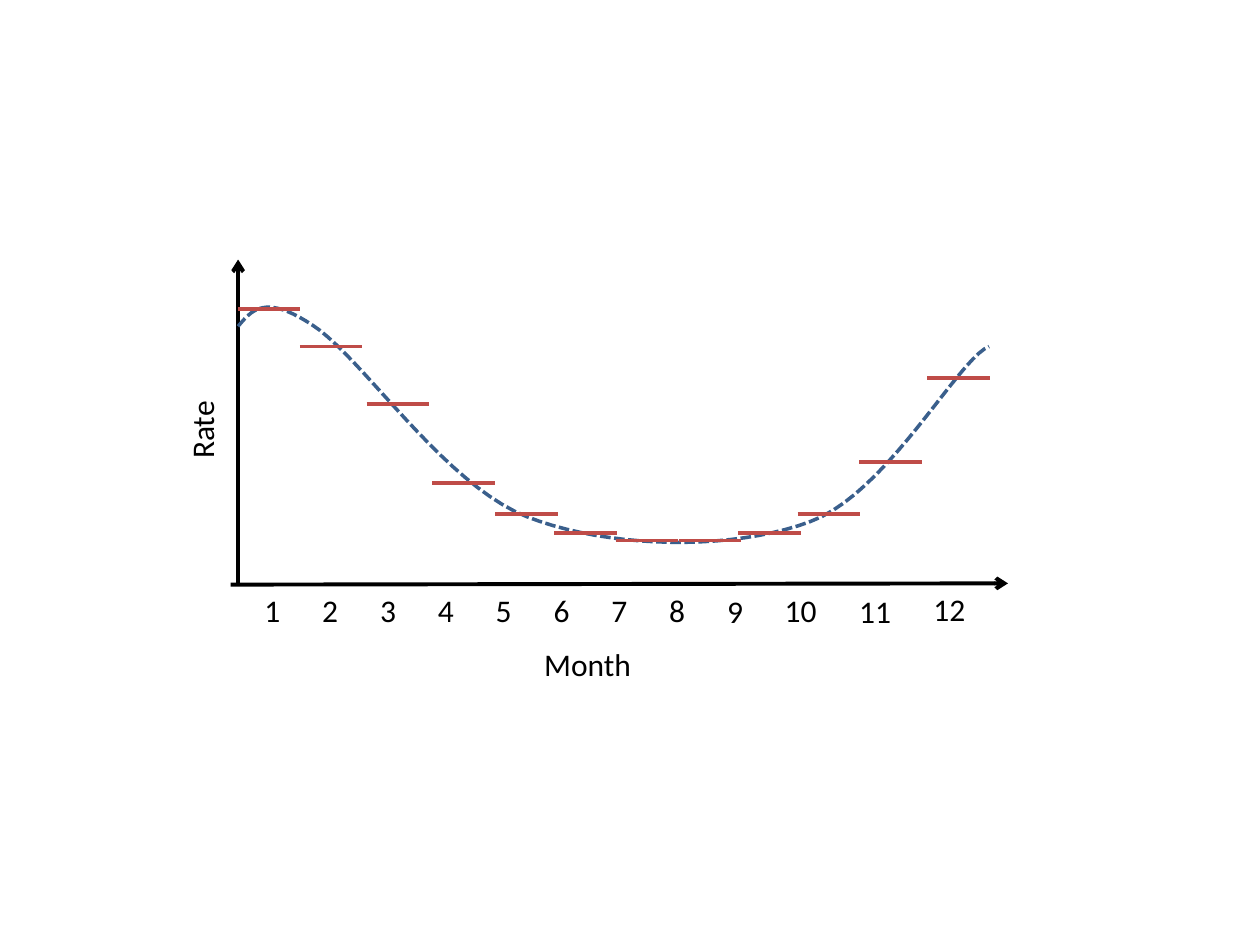
from dataclasses import dataclass

from lxml import etree
from pptx import Presentation
from pptx import util as u
from pptx.dml.color import RGBColor
from pptx.enum import dml, shapes, text
from pptx.oxml.ns import qn

WIDTH, HEIGHT = u.Inches(10), u.Inches(7.5)
COLUMNS, ROWS = 100, 75


@dataclass(frozen=True)
class Theme:
    """Colours, font and sizes of the slide."""
    ink: str = "000000"
    curve: str = "3A5F8C"
    step: str = "BF4C48"
    font: str = "Calibri"
    text_size: float = 18
    line_width: float = 2.25
    curve_width: float = 2


THEME = Theme()
AXIS_LEFT, AXIS_BOTTOM = 18.9, 46.4
STEP_WIDTH = 4.95
# Left end and height of the mean rate in each month
MONTHLY_RATES = [
    (18.9, 24.5), (23.8, 27.5), (29.1, 32.1), (34.3, 38.3),
    (39.3, 40.8), (44, 42.3), (48.9, 42.9), (53.9, 42.9),
    (58.6, 42.3), (63.3, 40.8), (68.2, 36.7), (73.6, 30),
]
# Start point, then two control points and an end point per segment
CURVE_START = (18.9, 25.9)
CURVE_SEGMENTS = [
    ((20, 24.6), (21, 23.3), (24.8, 25.8)),
    ((28.7, 28.3), (35.2, 38.4), (41.8, 41)),
    ((48.4, 43.6), (58.2, 43.7), (64.3, 41.4)),
    ((70.4, 39.2), (76.1, 28.4), (78.5, 27.5)),
]
LABEL_NUDGES = {9: 0.1, 11: 0.1, 12: -0.1}


def col(count):
    """Return the length of a number of grid columns."""
    return round(WIDTH * count / COLUMNS)


def row(count):
    """Return the length of a number of grid rows."""
    return round(HEIGHT * count / ROWS)


def format_line(line, color, width):
    """Set the colour and width of a line."""
    line.color.rgb = RGBColor.from_string(color)
    line.width = u.Pt(width)


def add_line(page, start, end, color, arrow=False):
    """Draw a straight line between two grid points."""
    line = page.shapes.add_connector(
        shapes.MSO_CONNECTOR.STRAIGHT,
        col(start[0]), row(start[1]), col(end[0]), row(end[1]))
    format_line(line.line, color, THEME.line_width)
    properties = line._element.spPr
    if arrow:
        outline = properties.find(qn("a:ln"))
        etree.SubElement(outline, qn("a:tailEnd"), type="arrow")
    etree.SubElement(properties, qn("a:effectLst"))


def add_text(page, words, left, top, width, wrap=False, rotation=0):
    """Add a text box at a grid position."""
    box = page.shapes.add_textbox(col(left), row(top), col(width), row(4))
    box.rotation = rotation
    frame = box.text_frame
    frame.word_wrap = wrap
    frame.auto_size = text.MSO_AUTO_SIZE.SHAPE_TO_FIT_TEXT
    span = frame.paragraphs[0].add_run()
    span.text = words
    span.font.name = THEME.font
    span.font.size = u.Pt(THEME.text_size)
    span.font.color.rgb = RGBColor.from_string(THEME.ink)


def bezier_points(start, segments, steps=20):
    """Yield points along a chain of cubic segments."""
    for first, second, end in segments:
        for step in range(1, steps + 1):
            t = step / steps
            s = 1 - t
            yield tuple(
                s**3 * a + 3 * s * s * t * b + 3 * s * t * t * c + t**3 * d
                for a, b, c, d in zip(start, first, second, end))
        start = end


def add_curve(page):
    """Draw the dashed curve of the continuous rate."""
    builder = page.shapes.build_freeform(
        col(CURVE_START[0]), row(CURVE_START[1]))
    points = bezier_points(CURVE_START, CURVE_SEGMENTS)
    builder.add_line_segments(
        [(col(x), row(y)) for x, y in points], close=False)
    curve = builder.convert_to_shape()
    curve.shadow.inherit = False
    curve.fill.background()
    format_line(curve.line, THEME.curve, THEME.curve_width)
    curve.line.dash_style = dml.MSO_LINE.SQUARE_DOT


def add_month_labels(page):
    """Number the months below the horizontal axis."""
    for month in range(1, 13):
        if month < 10:
            left, width = 20 + 4.59 * (month - 1), 3.3
        else:
            left, width = 61.3 + 5.9 * (month - 10), 4.6
        top = AXIS_BOTTOM + LABEL_NUDGES.get(month, 0)
        add_text(page, str(month), left, top, width)


def main():
    """Build the slide and save it."""
    deck = Presentation()
    deck.slide_width, deck.slide_height = WIDTH, HEIGHT
    page = deck.slides.add_slide(deck.slide_layouts[6])
    add_line(page, (AXIS_LEFT, AXIS_BOTTOM), (AXIS_LEFT, 20.6),
             THEME.ink, arrow=True)
    add_line(page, (18.3, AXIS_BOTTOM), (80, 46.3), THEME.ink, arrow=True)
    add_month_labels(page)
    add_curve(page)
    for left, height in MONTHLY_RATES:
        add_line(page, (left, height), (left + STEP_WIDTH, height), THEME.step)
    add_text(page, "Month", 42.2, 50.7, 10.8, wrap=True)
    add_text(page, "Rate", 10.6, 30, 10.8, wrap=True, rotation=270)
    deck.save("out.pptx")


main()
